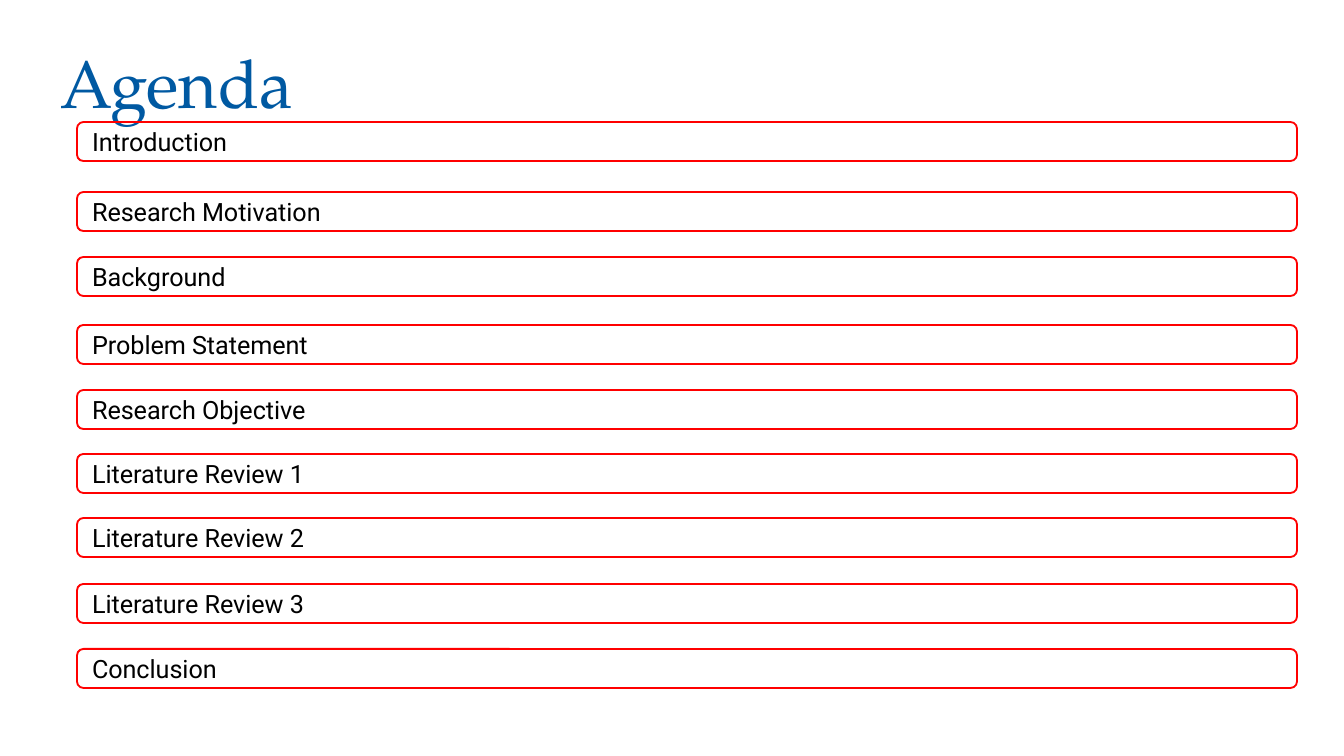
from pptx import Presentation
from pptx.dml.color import RGBColor
from pptx.enum.shapes import MSO_SHAPE as Shape
from pptx.enum.text import MSO_ANCHOR as Anchor, PP_ALIGN as Align
from pptx.util import Emu, Pt

EMU_PER_PX = 914400 / 134.4
BLUE = RGBColor(0x00, 0x59, 0xA2)
RED = RGBColor(0xFF, 0x00, 0x00)
BLACK = RGBColor(0x00, 0x00, 0x00)

AGENDA = [
    ("Introduction", 122),
    ("Research Motivation", 192),
    ("Background", 257),
    ("Problem Statement", 325),
    ("Research Objective", 390),
    ("Literature Review 1", 454),
    ("Literature Review 2", 518),
    ("Literature Review 3", 584),
    ("Conclusion", 649),
]


def px(length):
    """Turn a length in px into EMU."""
    return Emu(round(length * EMU_PER_PX))


def write(box, text, font_name, size, color):
    """Put one left-aligned, vertically centred line into a box."""
    frame = box.text_frame
    frame.text = text
    frame.word_wrap = True
    frame.vertical_anchor = Anchor.MIDDLE
    para = frame.paragraphs[0]
    para.alignment = Align.LEFT
    font = para.runs[0].font
    font.name = font_name
    font.size = Pt(size)
    font.color.rgb = color
    return para


def add_title(page, text):
    """Add the slide heading."""
    box = page.shapes.add_textbox(px(47), px(0), px(1297), px(173))
    para = write(box, text, "TeX Gyre Pagella", 36, BLUE)
    para.line_spacing = 0.9


def add_agenda_item(page, text, top):
    """Add one outlined agenda bar."""
    bar = page.shapes.add_shape(
        Shape.ROUNDED_RECTANGLE, px(77), px(top), px(1220), px(39))
    bar.shadow.inherit = False
    bar.fill.background()
    bar.line.color.rgb = RED
    bar.line.width = Pt(1)
    write(bar, text, "Roboto", 13.5, BLACK)


def main():
    """Build and save the agenda slide."""
    deck = Presentation()
    deck.slide_width, deck.slide_height = px(1344), px(756)
    page = deck.slides.add_slide(deck.slide_layouts[6])
    add_title(page, "Agenda")
    for text, top in AGENDA:
        add_agenda_item(page, text, top)
    deck.save("out.pptx")


if __name__ == "__main__":
    main()
